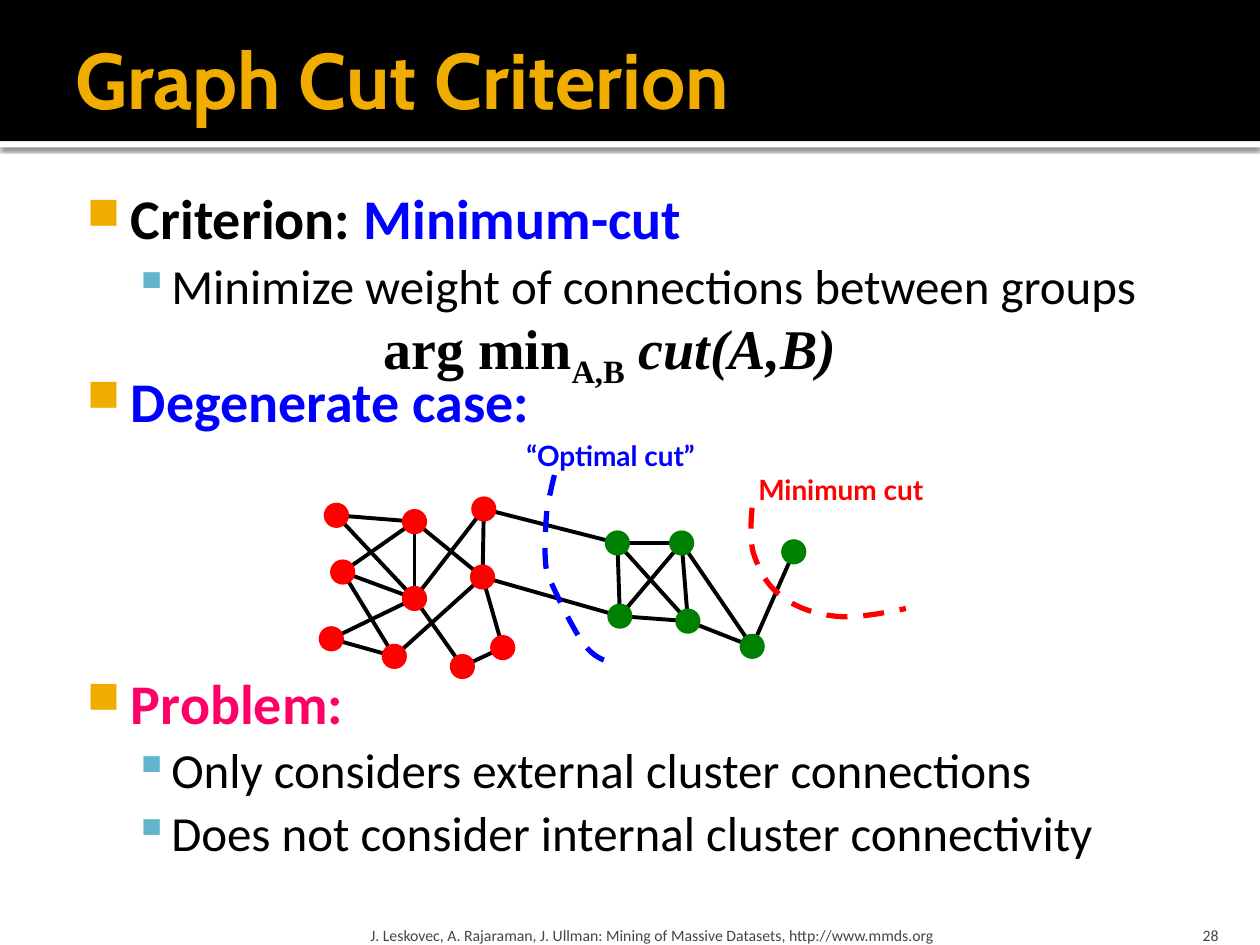
from dataclasses import dataclass
from lxml.etree import SubElement
from pptx import Presentation
from pptx.dml.color import RGBColor
from pptx.enum.dml import MSO_LINE
from pptx.enum.shapes import MSO_CONNECTOR as CONN, MSO_SHAPE as SHAPE
from pptx.enum.text import MSO_ANCHOR as ANCHOR, PP_ALIGN as ALIGN
from pptx.oxml.ns import qn
from pptx.util import Inches, Pt


@dataclass(frozen=True)
class Theme:
    gold: str = "F0AD00"
    teal: str = "60B5CC"
    black: str = "000000"
    white: str = "FFFFFF"
    gray: str = "454545"
    blue: str = "0000FF"
    red: str = "FF0000"
    pink: str = "FF0066"
    green: str = "008000"
    title_font: str = "Cabin"
    body_font: str = "Calibri"
    label_font: str = "Lato"
    math_font: str = "Times New Roman"
    title: int = 45
    head: int = 32
    sub: int = 28
    label: int = 16
    small: int = 9
    edge: float = 2.25
    cut: float = 3


T = Theme()
NODE = 0.2
NODES = {
    "red": {
        "a": (0.17, 0.69), "b": (0.79, 0.74), "c": (1.34, 0.64), "d": (0.22, 1.14),
        "e": (0.79, 1.35), "f": (1.33, 1.18), "g": (0.13, 1.67), "h": (0.63, 1.81),
        "i": (1.17, 1.89), "j": (1.49, 1.74),
    },
    "green": {
        "k": (2.4, 0.91), "l": (2.91, 0.91), "m": (3.8, 0.98),
        "n": (2.42, 1.49), "o": (2.96, 1.53), "p": (3.47, 1.73),
    },
}
EDGES = "ab ae bd be bf ce cf de dh eg ei fh fj gh ij ck fn kl kn ko ln lo lp mp no op"
MINIMUM_CUT = [
    (3.47, 0.63), (3.46, 0.75), (3.45, 0.88), (3.48, 0.99), (3.52, 1.11),
    (3.58, 1.24), (3.69, 1.32), (3.79, 1.41), (3.95, 1.47), (4.12, 1.49),
    (4.29, 1.51), (4.49, 1.47), (4.69, 1.43),
]
OPTIMAL_CUT = [
    (1.9, 0.37), (1.88, 0.45), (1.86, 0.54), (1.84, 0.65), (1.83, 0.77),
    (1.82, 0.96), (1.83, 1.07), (1.84, 1.18), (1.86, 1.19), (1.91, 1.3),
    (1.96, 1.41), (2.07, 1.63), (2.14, 1.72), (2.22, 1.82), (2.29, 1.84), (2.36, 1.86),
]


def rgb(color):
    return RGBColor.from_string(color)


def add_run(p, text, size, font, color, bold=False, italic=False):
    r = p.add_run()
    r.text = text
    f = r.font
    f.size, f.name, f.bold, f.italic = Pt(size), font, bold, italic
    f.color.rgb = rgb(color)
    return r


def add_text(s, box, anchor=ANCHOR.TOP, insets=(0.1, 0.05, 0.1, 0.05), wrap=True):
    tf = s.shapes.add_textbox(*map(Inches, box)).text_frame
    tf.word_wrap, tf.vertical_anchor = wrap, anchor
    tf.margin_left, tf.margin_top, tf.margin_right, tf.margin_bottom = map(Inches, insets)
    return tf


def add_solid(s, shape, box, color):
    sp = s.shapes.add_shape(shape, *map(Inches, box))
    sp.shadow.inherit = False
    sp.fill.solid()
    sp.fill.fore_color.rgb = rgb(color)
    sp.line.fill.background()
    return sp


def add_bullet(p, char, color, size, left, indent):
    pPr = p._p.get_or_add_pPr()
    pPr.set("marL", str(Inches(left)))
    pPr.set("indent", str(Inches(indent)))
    SubElement(SubElement(pPr, qn("a:buClr")), qn("a:srgbClr"), val=color)
    SubElement(pPr, qn("a:buSzPct"), val=str(size * 1000))
    SubElement(pPr, qn("a:buChar"), char=char)


def add_header(s, x, y, w, h):
    strip = add_solid(s, SHAPE.RECTANGLE, (x, y + h, w, 0.05), T.white)
    effects = strip._element.spPr.find(qn("a:effectLst"))
    shadow = SubElement(effects, qn("a:outerShdw"), blurRad=str(Pt(2.5)),
                        dist=str(Pt(0.8)), dir="5400000")
    color = SubElement(shadow, qn("a:srgbClr"), val=T.black)
    SubElement(color, qn("a:alpha"), val="60000")
    add_solid(s, SHAPE.RECTANGLE, (x, y, w, h), T.black)
    tf = add_text(s, (x + 0.5, y + 0.08, w - 1, 1.08), ANCHOR.MIDDLE, (0.1, 0.05, 0.05, 0.05))
    add_run(tf.paragraphs[0], "Graph Cut Criterion", T.title, T.title_font, T.gold, True)


def add_body(s, x, y, w, h):
    tf = add_text(s, (x, y, w, h), insets=(0.06, 0.1, 0.1, 0.05))
    items = [
        (0, 0, [("Criterion: ", T.black), ("Minimum-cut", T.blue)]),
        (1, 5.6, [("Minimize weight of connections between groups", T.black)]),
        (0, 34, [("Degenerate case:", T.blue)]),
        (0, 138, [("Problem:", T.pink)]),
        (1, 5.6, [("Only considers external cluster connections", T.black)]),
        (1, 5.6, [("Does not consider internal cluster connectivity", T.black)]),
    ]
    for n, (level, before, runs) in enumerate(items):
        p = tf.add_paragraph() if n else tf.paragraphs[0]
        p.level, p.line_spacing = level, 0.9
        if n:
            p.space_before = Pt(before)
        if level:
            add_bullet(p, "▪", T.teal, 100, 0.8, -0.3)
        else:
            add_bullet(p, "■", T.gold, 80, 0.48, -0.35)
        for text, color in runs:
            add_run(p, text, T.sub if level else T.head, T.body_font, color, not level)


def add_formula(s, x, y, w, h):
    p = add_text(s, (x, y, w, h)).paragraphs[0]
    p.alignment = ALIGN.CENTER
    add_run(p, "arg min", T.head, T.math_font, T.black, True)
    sub = add_run(p, "A,B", T.head, T.math_font, T.black, True)
    sub._r.get_or_add_rPr().set("baseline", "-25000")
    add_run(p, " cut(A,B)", T.head, T.math_font, T.black, True, True)


def curve_points(knots, steps=10):
    points = [knots[0]]
    for i in range(0, len(knots) - 1, 3):
        for k in range(1, steps + 1):
            t = k / steps
            weights = ((1 - t) ** 3, 3 * t * (1 - t) ** 2, 3 * t * t * (1 - t), t ** 3)
            points.append(tuple(sum(c * q[axis] for c, q in zip(weights, knots[i:i + 4]))
                                for axis in (0, 1)))
    return points


def add_cut(s, x, y, knots, color):
    points = [(Inches(x + px), Inches(y + py)) for px, py in curve_points(knots)]
    builder = s.shapes.build_freeform(*points[0])
    builder.add_line_segments(points[1:], close=False)
    sp = builder.convert_to_shape()
    sp.shadow.inherit = False
    sp.fill.background()
    sp.line.color.rgb = rgb(color)
    sp.line.width, sp.line.dash_style = Pt(T.cut), MSO_LINE.DASH


def add_graph(s, x, y, w, h):
    centers = {name: (x + px, y + py) for group in NODES.values()
               for name, (px, py) in group.items()}
    for start, end in EDGES.split():
        line = s.shapes.add_connector(
            CONN.STRAIGHT, *map(Inches, centers[start] + centers[end]))
        line.line.color.rgb, line.line.width = rgb(T.black), Pt(T.edge)
        SubElement(line._element.spPr, qn("a:effectLst"))
    for color, group in (("red", T.red), ("green", T.green)):
        for name in NODES[color]:
            cx, cy = centers[name]
            add_solid(s, SHAPE.OVAL, (cx - NODE / 2, cy - NODE / 2, NODE, NODE), group)
    cuts = [
        ("“Optimal cut”", T.blue, OPTIMAL_CUT, (x + 1.58, y + 0.03, 1.74, 0.37)),
        ("Minimum cut", T.red, MINIMUM_CUT, (x + 3.42, y + 0.3, w - 3.42, 0.37)),
    ]
    for text, color, knots, box in cuts:
        add_cut(s, x, y, knots, color)
        p = add_text(s, box, wrap=False).paragraphs[0]
        add_run(p, text, T.label, T.label_font, color, True)


def add_footer(s, x, y, w, h):
    credit = "J. Leskovec, A. Rajaraman, J. Ullman: Mining of Massive Datasets, http://www.mmds.org"
    tf = add_text(s, (x, y, 6.02, h), ANCHOR.BOTTOM, (0.05, 0.05, 0.05, 0))
    add_run(tf.paragraphs[0], credit, T.small, T.body_font, T.gray)
    tf = add_text(s, (x + w - 0.8, y, 0.8, h), ANCHOR.BOTTOM, (0.1, 0.05, 0.1, 0))
    tf.paragraphs[0].alignment = ALIGN.RIGHT
    add_run(tf.paragraphs[0], "28", T.small, T.body_font, T.gray)


def main():
    prs = Presentation()
    prs.slide_width, prs.slide_height = Inches(10), Inches(7.5)
    s = prs.slides.add_slide(prs.slide_layouts[6])
    add_header(s, 0, 0, 10, 1.12)
    add_body(s, 0.5, 1.42, 9, 5.75)
    add_footer(s, 2.89, 7.2, 6.88, 0.3)
    add_formula(s, 2.73, 2.44, 4.22, 0.64)
    add_graph(s, 2.5, 3.4, 5.08, 2)
    prs.save("out.pptx")


if __name__ == "__main__":
    main()
